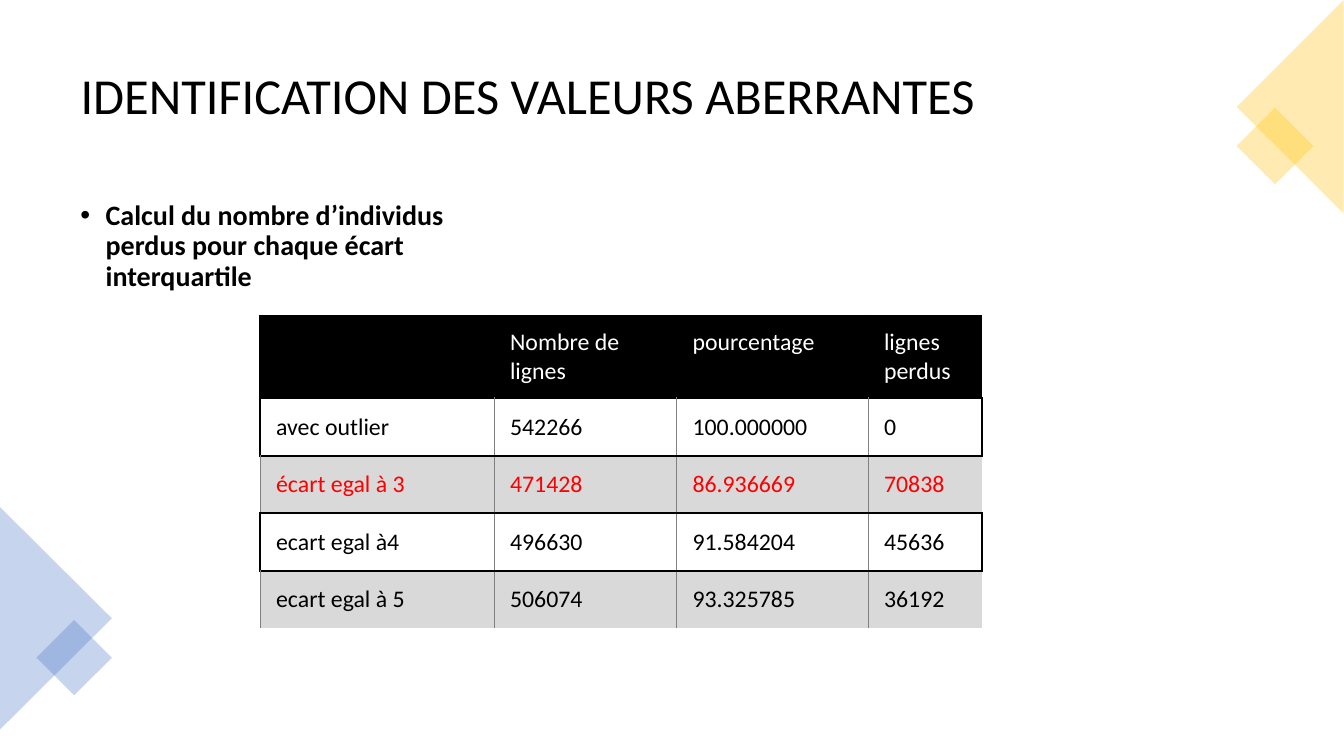
from lxml import etree
from pptx import Presentation, util as u
from pptx.dml.color import RGBColor
from pptx.enum import shapes, text
from pptx.oxml.ns import qn

WIDTH, HEIGHT = u.Inches(13.33), u.Inches(7.5)
COLUMNS, ROWS = 64, 36

BLACK = RGBColor(0, 0, 0)
WHITE = RGBColor(255, 255, 255)
RED = RGBColor(255, 0, 0)
GREY = RGBColor(0x80, 0x80, 0x80)
BAND = RGBColor(0xD9, 0xD9, 0xD9)
BLUE = RGBColor(0x44, 0x72, 0xC4)
YELLOW = RGBColor(0xFF, 0xC0, 0x00)

THICK, THIN = (BLACK, 1.5), (GREY, 0.5)

TABLE_COLUMNS = [11.14, 8.69, 9.12, 5.42]
HEADER_HEIGHT, ROW_HEIGHT = 3.94, 2.74
TABLE_ROWS = [
    ["", "Nombre de lignes", "pourcentage", "lignes perdus"],
    ["avec outlier", "542266", "100.000000", "0"],
    ["écart egal à 3", "471428", "86.936669", "70838"],
    ["ecart egal à4", "496630", "91.584204", "45636"],
    ["ecart egal à 5", "506074", "93.325785", "36192"],
]
HIGHLIGHTED_ROW = 2


def across(n):
    """Width of n grid columns."""
    return round(WIDTH * n / COLUMNS)


def down(n):
    """Height of n grid rows."""
    return round(HEIGHT * n / ROWS)


def area(left, top, width, height):
    return across(left), down(top), across(width), down(height)


def write(tf, content, size=17, color=BLACK, bold=False, bullet=False,
          spacing=None, before=None):
    tf.word_wrap = True
    p = tf.paragraphs[0]
    p.alignment = text.PP_ALIGN.LEFT
    p.line_spacing = spacing
    if before is not None:
        p.space_before = u.Pt(before)
    if bullet:
        pPr = p._p.get_or_add_pPr()
        indent = u.Inches(0.25)
        pPr.set("marL", str(indent))
        pPr.set("indent", str(-indent))
        etree.SubElement(pPr, qn("a:buFont"), typeface="Arial")
        etree.SubElement(pPr, qn("a:buChar"), char="•")
    r = p.add_run()
    r.text = content
    r.font.name = "Calibri"
    r.font.size = u.Pt(size)
    r.font.bold = bold
    r.font.color.rgb = color


def add_text(s, box, content, anchor=text.MSO_ANCHOR.TOP, **style):
    tf = s.shapes.add_textbox(*area(*box)).text_frame
    tf.vertical_anchor = anchor
    write(tf, content, spacing=0.9, **style)


def add_corner_piece(s, kind, box, rotation, color):
    """Translucent, rotated decoration."""
    sp = s.shapes.add_shape(kind, *area(*box))
    sp.rotation = rotation
    sp.shadow.inherit = False
    sp.fill.solid()
    sp.fill.fore_color.rgb = color
    sp.line.fill.background()
    rgb = sp._element.spPr.find(".//" + qn("a:srgbClr"))
    etree.SubElement(rgb, qn("a:alpha"), val="30000")


def set_borders(cell, **sides):
    tcPr = cell._tc.get_or_add_tcPr()
    for i, side in enumerate("LRTB"):
        ln = etree.Element(qn("a:ln" + side))
        tcPr.insert(i, ln)
        if side not in sides:
            etree.SubElement(ln, qn("a:noFill"))
            continue
        color, width = sides[side]
        ln.set("w", str(u.Pt(width)))
        fill = etree.SubElement(ln, qn("a:solidFill"))
        etree.SubElement(fill, qn("a:srgbClr"), val=str(color))


def cell_borders(row, column):
    first, last = column == 0, column == len(TABLE_COLUMNS) - 1
    if row == 0:
        return dict.fromkeys("LTB" if last else "LRTB", THICK)
    if row % 2:
        return {"L": THICK if first else THIN, "R": THICK if last else THIN,
                "T": THICK, "B": THICK}
    sides = {"L": THIN, "T": THICK}
    if not last:
        sides["R"] = THIN
    return sides


def format_cell(cell, row, column):
    cell.margin_left = across(0.77)
    cell.margin_right = across(0.58)
    cell.margin_top = cell.margin_bottom = down(0.58)
    header = row == 0
    cell.vertical_anchor = (text.MSO_ANCHOR.TOP if header
                            else text.MSO_ANCHOR.MIDDLE)
    if row % 2:
        cell.fill.background()
    else:
        cell.fill.solid()
        cell.fill.fore_color.rgb = BLACK if header else BAND
    set_borders(cell, **cell_borders(row, column))


def add_losses_table(s, left, top):
    heights = [HEADER_HEIGHT] + [ROW_HEIGHT] * (len(TABLE_ROWS) - 1)
    box = area(left, top, sum(TABLE_COLUMNS), sum(heights))
    table = s.shapes.add_table(len(heights), len(TABLE_COLUMNS), *box).table
    table.first_row = table.horz_banding = False
    for column, width in zip(table.columns, TABLE_COLUMNS):
        column.width = across(width)
    for i, (height, values) in enumerate(zip(heights, TABLE_ROWS)):
        table.rows[i].height = down(height)
        color = {0: WHITE, HIGHLIGHTED_ROW: RED}.get(i, BLACK)
        for j, value in enumerate(values):
            cell = table.cell(i, j)
            format_cell(cell, i, j)
            if value:
                write(cell.text_frame, value, color=color)


def main():
    prs = Presentation()
    prs.slide_width, prs.slide_height = WIDTH, HEIGHT
    s = prs.slides.add_slide(prs.slide_layouts[6])

    add_text(s, (3.36, 1.68, 57.26, 5.95),
             "IDENTIFICATION DES VALEURS ABERRANTES",
             anchor=text.MSO_ANCHOR.MIDDLE, size=36)
    add_text(s, (3.36, 9.36, 21.02, 23.09),
             "Calcul du nombre d’individus perdus pour chaque écart "
             "interquartile", size=20, bold=True, bullet=True, before=10)

    triangle = shapes.MSO_SHAPE.ISOSCELES_TRIANGLE
    square = shapes.MSO_SHAPE.RECTANGLE
    add_corner_piece(s, triangle, (-2.64, 26.78, 10.6, 5.33), 90, BLUE)
    add_corner_piece(s, square, (2.26, 30.05, 2.54, 2.54), 45, BLUE)
    add_corner_piece(s, square, (59.42, 5.66, 2.59, 2.59), 45, YELLOW)
    add_corner_piece(s, triangle, (56.35, 2.54, 10.18, 5.09), 270, YELLOW)

    add_losses_table(s, 12.38, 15.02)
    prs.save("out.pptx")


if __name__ == "__main__":
    main()
